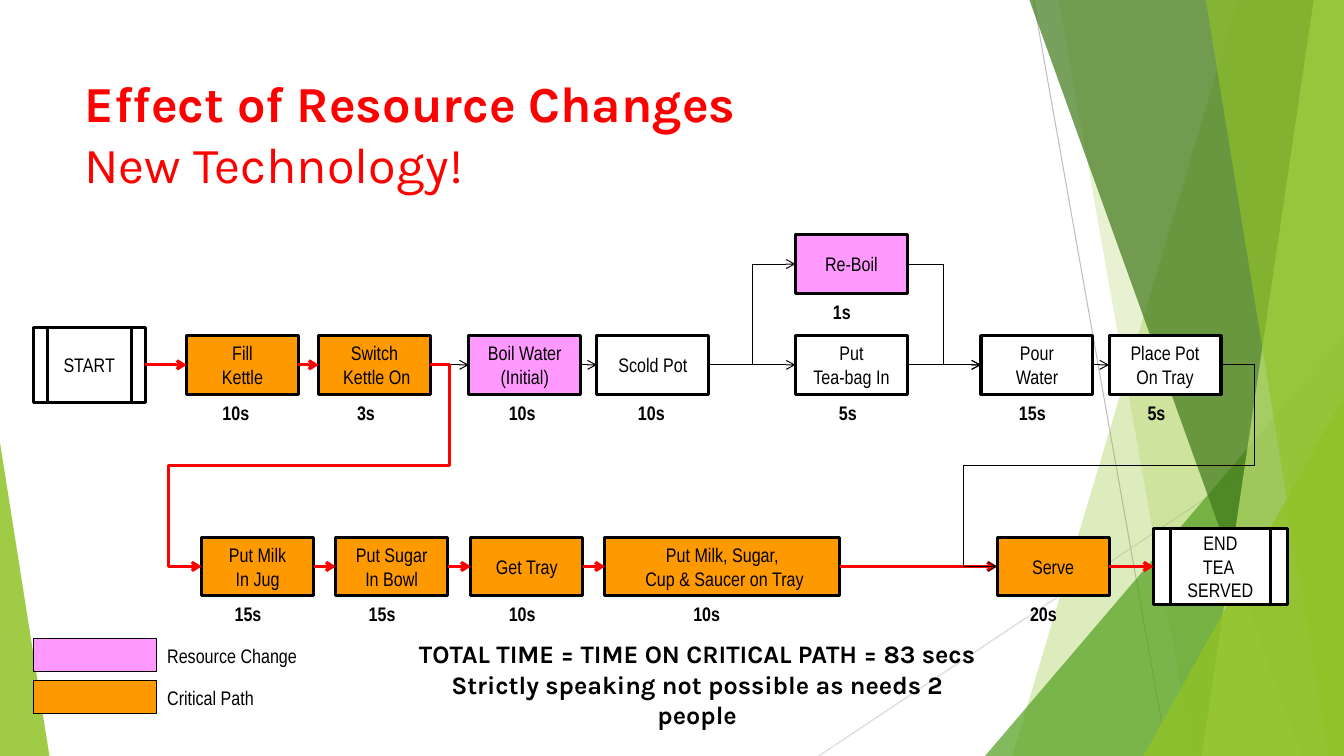
from copy import deepcopy

from lxml import etree
from pptx import Presentation
from pptx.dml.color import RGBColor
from pptx.enum.shapes import MSO_CONNECTOR, MSO_SHAPE
from pptx.enum.text import MSO_ANCHOR, PP_ALIGN
from pptx.oxml.ns import qn
from pptx.util import Inches, Pt

STRAIGHT, ELBOW = MSO_CONNECTOR.STRAIGHT, MSO_CONNECTOR.ELBOW
PROCESS = MSO_SHAPE.FLOWCHART_PROCESS
TERMINAL = MSO_SHAPE.FLOWCHART_PREDEFINED_PROCESS
TRIANGLE, RECTANGLE = MSO_SHAPE.ISOSCELES_TRIANGLE, MSO_SHAPE.RECTANGLE
TOP, MIDDLE = MSO_ANCHOR.TOP, MSO_ANCHOR.MIDDLE
LEFT, CENTER = PP_ALIGN.LEFT, PP_ALIGN.CENTER
LEFT_SIDE, RIGHT_SIDE = 1, 3

BLACK = RGBColor(0x00, 0x00, 0x00)
WHITE = RGBColor(0xFF, 0xFF, 0xFF)
RED = RGBColor(0xFF, 0x00, 0x00)
ORANGE = RGBColor(0xFF, 0x99, 0x00)
PINK = RGBColor(0xFF, 0x99, 0xFF)
LEAF = RGBColor(0x90, 0xC2, 0x26)
GRASS = RGBColor(0x54, 0xA0, 0x21)
FOREST = RGBColor(0x3F, 0x78, 0x19)
LIME = RGBColor(0xC0, 0xE4, 0x74)
GREY = RGBColor(0xBF, 0xBF, 0xBF)
PALE_GREY = RGBColor(0xD9, 0xD9, 0xD9)

SLIDE_W, SLIDE_H = 13.33, 7.5
STEP_W, STEP_H, TERMINAL_H, TIME_H = 1.11, 0.58, 0.75, 0.34
REBOIL_ROW, MAIN_ROW, TRAY_ROW = 0.29, 1.29, 3.29

STEPS = {
    "start": ("START", 0.33, MAIN_ROW, STEP_W, WHITE, None, None),
    "fill": ("Fill\nKettle", 1.85, MAIN_ROW, STEP_W, ORANGE, "10s", 2.34),
    "switch": ("Switch\n Kettle On", 3.16, MAIN_ROW, STEP_W, ORANGE, "3s", 3.63),
    "boil": ("Boil Water\n(Initial)", 4.65, MAIN_ROW, STEP_W, PINK, "10s", 5.18),
    "scold": ("Scold Pot", 5.92, MAIN_ROW, STEP_W, WHITE, "10s", 6.46),
    "teabag": ("Put\nTea-bag In", 7.89, MAIN_ROW, STEP_W, WHITE, "5s", 8.41),
    "reboil": ("Re-Boil", 7.89, REBOIL_ROW, STEP_W, PINK, "1s", 8.35),
    "pour": ("Pour\nWater", 9.73, MAIN_ROW, STEP_W, WHITE, "15s", 10.24),
    "place": ("Place Pot\nOn Tray", 11, MAIN_ROW, STEP_W, WHITE, "5s", 11.47),
    "serve": ("Serve", 9.89, TRAY_ROW, STEP_W, ORANGE, "20s", 10.35),
    "end": ("END\nTEA \nSERVED", 11.44, TRAY_ROW, 1.33, WHITE, None, None),
    "milk": ("Put Milk\nIn Jug", 2, TRAY_ROW, STEP_W, ORANGE, "15s", 2.46),
    "sugar": ("Put Sugar\nIn Bowl", 3.33, TRAY_ROW, STEP_W, ORANGE, "15s", 3.79),
    "tray": ("Get Tray", 4.67, TRAY_ROW, STEP_W, ORANGE, "10s", 5.18),
    "load": ("Put Milk, Sugar,\n Cup & Saucer on Tray", 6, TRAY_ROW, 2.33, ORANGE, "10s", 7.01),
}
LINKS = [
    ("start", "fill", True, ()), ("fill", "switch", True, ()),
    ("switch", "boil", False, ()), ("boil", "scold", False, ()),
    ("scold", "teabag", False, ()), ("place", "pour", None, ()),
    ("milk", "sugar", True, ()), ("sugar", "tray", True, ()),
    ("tray", "load", True, ()), ("switch", "milk", True, (4.46, 1.67)),
    ("load", "serve", True, ()), ("place", "serve", False, (12.44, 9.56)),
    ("serve", "end", True, ()), ("scold", "reboil", False, (7.46,)),
    ("reboil", "pour", False, (9.36,)), ("teabag", "pour", False, ()),
]
LINKS[5] = ("pour", "place", False, ())


def write(frame, text, *, size=14, font="Arial Narrow", color=BLACK, bold=False,
          align=CENTER, anchor=MIDDLE, wrap=False):
    """Fill a text frame with lines of one paragraph in a single format."""
    frame.word_wrap = wrap
    frame.vertical_anchor = anchor
    paragraph = frame.paragraphs[0]
    paragraph.text = text
    paragraph.alignment = align
    for run in paragraph.runs:
        run.font.size, run.font.name, run.font.bold = Pt(size), font, bold
        run.font.color.rgb = color
    for line_break in paragraph._p.findall(qn("a:br")):
        line_break.insert(0, deepcopy(paragraph.runs[0]._r.rPr))


def add_text(slide, text, left, top, width, height, **style):
    """Add a text box and return its frame."""
    frame = slide.shapes.add_textbox(
        Inches(left), Inches(top), Inches(width), Inches(height)).text_frame
    write(frame, text, **style)
    return frame


def paint(shape, fill, line_width=None, opacity=None):
    """Give a shape its fill, black outline and opacity."""
    shape.shadow.inherit = False
    shape.fill.solid()
    shape.fill.fore_color.rgb = fill
    if line_width:
        shape.line.color.rgb = BLACK
        shape.line.width = Pt(line_width)
    else:
        shape.line.fill.background()
    if opacity:
        color = shape._element.spPr.find(qn("a:solidFill"))[0]
        etree.SubElement(color, qn("a:alpha"), val=str(opacity * 1000))


def add_preset(slide, preset, left, top, width, height, *style):
    """Add a painted preset shape."""
    shape = slide.shapes.add_shape(
        preset, Inches(left), Inches(top), Inches(width), Inches(height))
    paint(shape, *style)
    return shape


def add_line(slide, kind, start, end, color, width):
    """Add a connector without a shadow."""
    line = slide.shapes.add_connector(kind, *map(Inches, start + end))
    line.line.color.rgb = color
    line.line.width = Pt(width)
    etree.SubElement(line._element.spPr, qn("a:effectLst"))
    return line


def add_facet(slide, right, height, top_x, bottom_x, color, opacity):
    """Add a slanted panel reaching to the right edge."""
    builder = slide.shapes.build_freeform(Inches(top_x), 0)
    builder.add_line_segments([(Inches(x), Inches(y)) for x, y in
                               ((right, 0), (right, height), (bottom_x, height))])
    paint(builder.convert_to_shape(), color, None, opacity)


def add_corner(slide, left, top, right, bottom, apex, color, opacity):
    """Add a right triangle standing on the bottom edge."""
    corner = add_preset(slide, TRIANGLE, left, top, right - left, bottom - top,
                        color, None, opacity)
    corner.adjustments[0] = apex


def draw_backdrop(slide, width, height):
    """Draw the green facets along both slide edges."""
    add_line(slide, STRAIGHT, (10.25, 0), (11.58, height), GREY, 0.75)
    add_line(slide, STRAIGHT, (width, 4.03), (8.12, height), PALE_GREY, 0.75)
    add_facet(slide, width, height, 12.28, 10.04, LEAF, 30)
    add_facet(slide, width, height, 10.5, 11.83, LEAF, 20)
    add_corner(slide, 9.77, 3.33, width, height, 1, GRASS, 72)
    add_facet(slide, width, height, 10.21, 12.91, FOREST, 70)
    add_facet(slide, width, height, 13.03, 11.92, LIME, 70)
    add_facet(slide, width, height, 11.96, 13.18, LEAF, 65)
    add_corner(slide, 11.34, 3.93, width, height, 1, LEAF, 80)
    add_corner(slide, 0, 4.39, 0.49, height, 0, LEAF, 85)


def link_steps(slide, source, target, critical, lanes):
    """Join two steps by an arrow, bent along the given vertical lanes."""
    color, width = (RED, 2.25) if critical else (BLACK, 0.75)
    arrow = add_line(slide, ELBOW if lanes else STRAIGHT, (0, 0), (1, 1), color, width)
    arrow.begin_connect(source, RIGHT_SIDE)
    arrow.end_connect(target, LEFT_SIDE)
    etree.SubElement(arrow.line._get_or_add_ln(), qn("a:tailEnd"), type="arrow")
    if lanes:
        span = arrow.end_x - arrow.begin_x
        bends = [(Inches(lane) - arrow.begin_x) / span for lane in lanes]
        if len(bends) == 2:
            bends.insert(1, 0.5)
        geometry = arrow._element.spPr.find(qn("a:prstGeom"))
        geometry.set("prst", f"bentConnector{len(bends) + 2}")
        guides = geometry.find(qn("a:avLst"))
        for number, bend in enumerate(bends, 1):
            etree.SubElement(guides, qn("a:gd"), name=f"adj{number}",
                             fmla=f"val {round(bend * 100000)}")


def draw_flow(slide, left, top):
    """Draw the steps, their arrows and their times."""
    boxes = {}
    for key, (label, x, row, width, fill, time, _) in STEPS.items():
        preset, height = (PROCESS, STEP_H) if time else (TERMINAL, TERMINAL_H)
        boxes[key] = add_preset(slide, preset, left + x, top + row - height / 2,
                                width, height, fill, 2.25)
        write(boxes[key].text_frame, label)
    for source, target, critical, lanes in LINKS:
        link_steps(slide, boxes[source], boxes[target], critical, lanes)
    for _, _, row, _, _, time, middle in STEPS.values():
        if time:
            width = 0.47 if len(time) == 3 else 0.38
            add_text(slide, time, left + middle - width / 2, top + row + 0.3,
                     width, TIME_H, bold=True)


def draw_legend(slide, left, top):
    """Draw the colour key."""
    entries = (("Resource Change", PINK, 1.5), ("Critical Path", ORANGE, 1.07))
    for index, (meaning, color, width) in enumerate(entries):
        y = top + index * 0.42
        add_preset(slide, RECTANGLE, left, y, 1.22, 0.33, color, 0.75)
        add_text(slide, meaning, left + 1.23, y, width, 0.34, align=LEFT)


def main():
    """Build the slide and save it."""
    deck = Presentation()
    deck.slide_width, deck.slide_height = Inches(SLIDE_W), Inches(SLIDE_H)
    slide = deck.slides.add_slide(deck.slide_layouts[6])
    draw_backdrop(slide, SLIDE_W, SLIDE_H)
    title = add_text(slide, "Effect of Resource Changes\nNew Technology!", 0.74, 0.67, 9.4, 1.44,
                     size=36, font="Karla", color=RED, bold=True, align=LEFT,
                     anchor=TOP, wrap=True)
    title.paragraphs[0].runs[1].font.bold = False
    draw_flow(slide, 0, 2.33)
    total = add_text(slide, "TOTAL TIME = TIME ON CRITICAL PATH = 83 secs\n"
                     "Strictly speaking not possible as needs 2 people", 4, 6.43, 5.83, 0.71,
                     size=18, font="Karla", bold=True, wrap=True)
    total.paragraphs[0].space_before = Pt(0)
    draw_legend(slide, 0.33, 6.33)
    deck.save("out.pptx")


if __name__ == "__main__":
    main()
